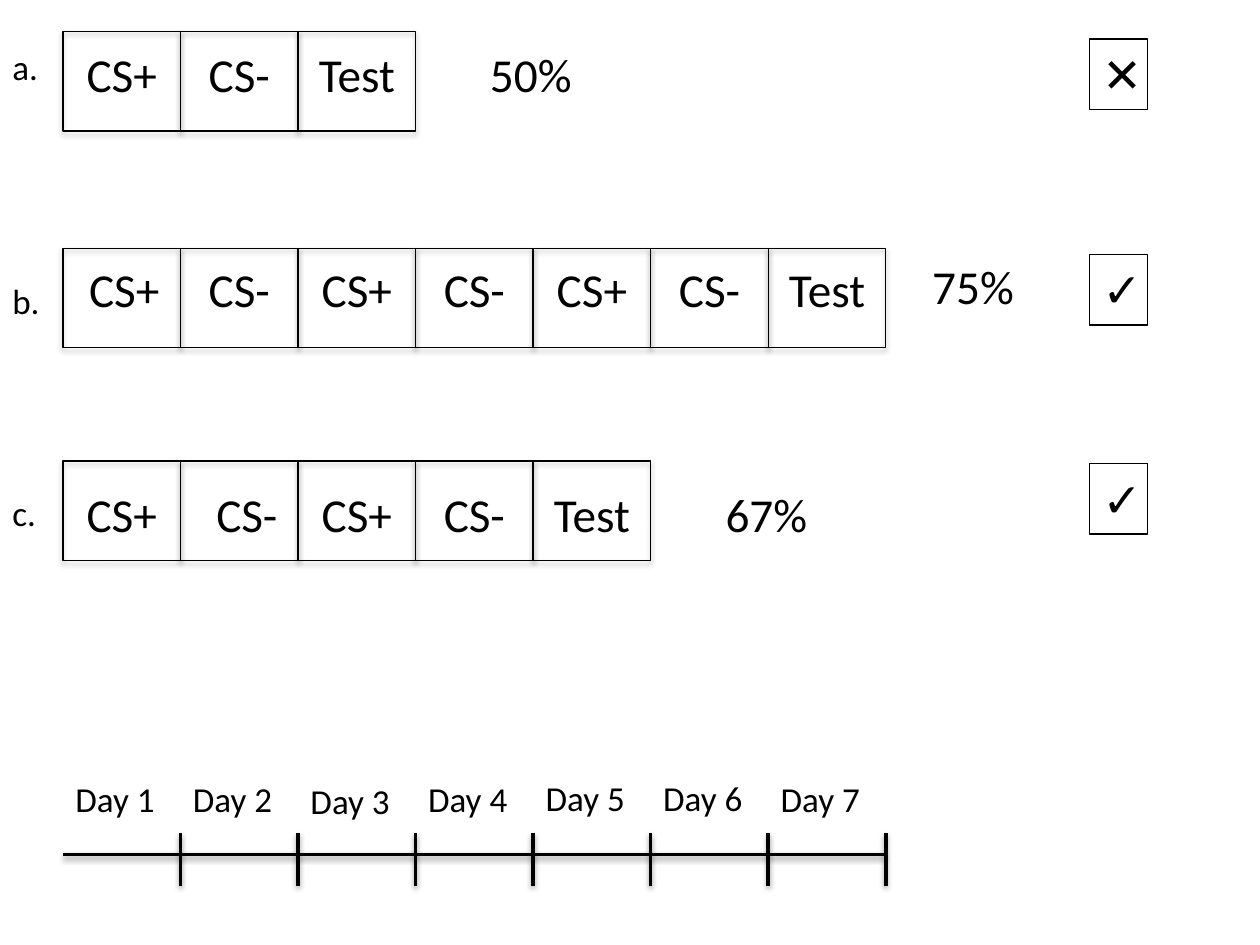
from lxml.etree import SubElement
from pptx import Presentation
from pptx.dml.color import RGBColor
from pptx.enum.shapes import MSO_CONNECTOR as Connector, MSO_SHAPE as Shape
from pptx.enum.text import MSO_ANCHOR as Anchor, MSO_AUTO_SIZE as AutoSize, PP_ALIGN as Align
from pptx.oxml.ns import qn
from pptx.util import Inches, Pt

COLORS = {"ink": "000000", "paper": "FFFFFF"}
ROWS = [
    {"name": "a.", "name_top": 0.31, "top": 0.25, "cells": ["CS+", "CS-", "Test"],
     "text_top": 0.31, "nudges": {}, "score": ("50%", 3.79, 0.31), "mark": ("✕", 0.31)},
    {"name": "b.", "name_top": 2.17, "top": 1.97,
     "cells": ["CS+", "CS-", "CS+", "CS-", "CS+", "CS-", "Test"],
     "text_top": 2.02, "nudges": {0: 0.02}, "score": ("75%", 7.3, 1.99), "mark": ("✓", 2.02)},
    {"name": "c.", "name_top": 3.85, "top": 3.66, "cells": ["CS+", "CS-", "CS+", "CS-", "Test"],
     "text_top": 3.8, "nudges": {1: 0.06}, "score": ("67%", 5.66, 3.8), "mark": ("✓", 3.68)},
]
DAYS = [("Day 1", 6.12), ("Day 2", 6.12), ("Day 3", 6.14), ("Day 4", 6.12),
        ("Day 5", 6.11), ("Day 6", 6.11), ("Day 7", 6.12)]
LEFT, RIGHT = 0.5, 7.03
CELL_WIDTH = (RIGHT - LEFT) / len(DAYS)
CELL_HEIGHT = 0.79
AXIS_TOP, TICK_TOP, TICK_BOTTOM = 6.78, 6.61, 7.03


def column_left(index):
    return LEFT + index * CELL_WIDTH


def color(name):
    return RGBColor.from_string(COLORS[name])


def add_shadow(item, opacity, distance):
    effects = SubElement(item._element.spPr, qn("a:effectLst"))
    shadow = SubElement(effects, qn("a:outerShdw"), blurRad=str(Pt(3.1)), dist=str(Pt(distance)),
                        dir="5400000", rotWithShape="0")
    tint = SubElement(shadow, qn("a:srgbClr"), val=COLORS["ink"])
    SubElement(tint, qn("a:alpha"), val=str(opacity * 1000))


def add_label(page, text, left, top, width, height, size, align=Align.LEFT, line=None, font="Calibri"):
    area = [Inches(value) for value in (left, top, width, height)]
    if line:
        box = page.shapes.add_shape(Shape.RECTANGLE, *area)
        box.shadow.inherit = False
        box.fill.background()
        box.line.color.rgb = color(line)
        box.line.width = Pt(0.75)
    else:
        box = page.shapes.add_textbox(*area)
    frame = box.text_frame
    frame.word_wrap = True
    frame.auto_size = AutoSize.SHAPE_TO_FIT_TEXT
    frame.vertical_anchor = Anchor.TOP
    para = frame.paragraphs[0]
    para.text = text
    para.alignment = align
    para.font.name = font
    para.font.size = Pt(size)
    para.font.color.rgb = color("ink")


def add_cell(page, left, top):
    cell = page.shapes.add_shape(Shape.ROUNDED_RECTANGLE, Inches(left), Inches(top),
                                 Inches(CELL_WIDTH), Inches(CELL_HEIGHT))
    cell.adjustments[0] = 0
    cell.fill.background()
    cell.line.color.rgb = color("ink")
    cell.line.width = Pt(0.75)
    add_shadow(cell, 35, 1.8)


def add_line(page, *ends):
    line = page.shapes.add_connector(Connector.STRAIGHT, *[Inches(value) for value in ends])
    line.line.color.rgb = color("ink")
    line.line.width = Pt(2)
    add_shadow(line, 38, 1.6)


def add_row(page, row):
    for index, text in enumerate(row["cells"]):
        left = column_left(index)
        add_cell(page, left, row["top"])
        add_label(page, text, left + row["nudges"].get(index, 0), row["text_top"],
                  CELL_WIDTH, 0.56, 27, Align.CENTER)
    add_label(page, row["name"], 0, row["name_top"], 0.5, 0.44, 20)
    add_label(page, *row["score"], 1.02, 0.56, 27)
    mark, top = row["mark"]
    add_label(page, mark, 8.65, top, 0.46, 0.56, 27, Align.CENTER, "ink", "Arial")


def add_timeline(page):
    add_line(page, LEFT, AXIS_TOP, RIGHT, AXIS_TOP)
    for index, (day, top) in enumerate(DAYS):
        tick = column_left(index + 1)
        add_line(page, tick, TICK_TOP, tick, TICK_BOTTOM)
        add_label(page, day, column_left(index), top, CELL_WIDTH, 0.44, 20, line="paper")


def main():
    deck = Presentation()
    deck.slide_width, deck.slide_height = Inches(10), Inches(7.5)
    page = deck.slides.add_slide(deck.slide_layouts[6])
    for row in ROWS:
        add_row(page, row)
    add_timeline(page)
    deck.save("out.pptx")


if __name__ == "__main__":
    main()
